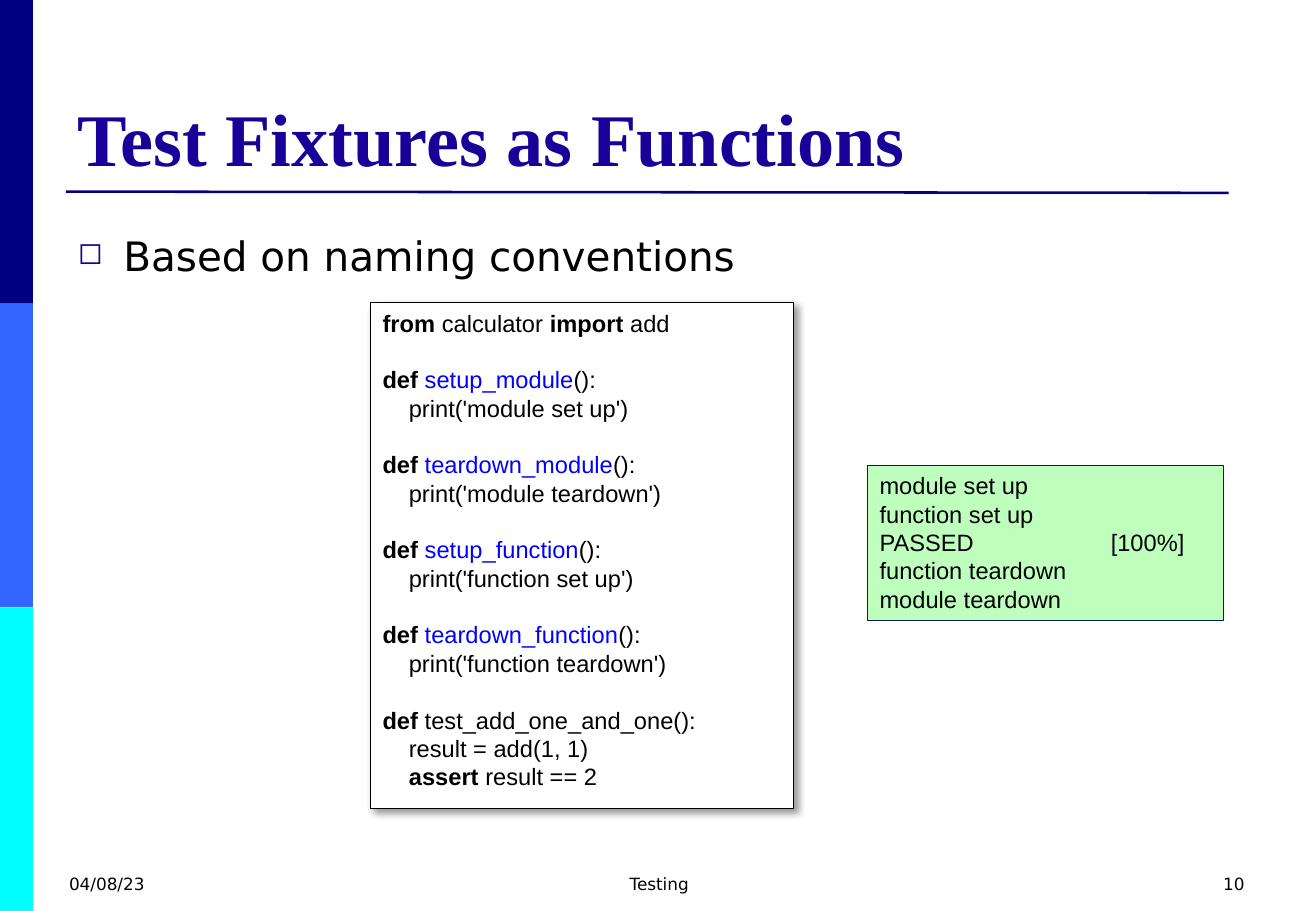
"""Build a slide about test fixtures written as functions."""
from dataclasses import dataclass

from lxml.etree import SubElement
from pptx import Presentation
from pptx.dml.color import RGBColor
from pptx.enum.shapes import MSO_CONNECTOR, MSO_SHAPE
from pptx.enum.text import MSO_ANCHOR, PP_ALIGN
from pptx.oxml.ns import qn
from pptx.util import Pt

TITLE = "Test Fixtures as Functions"
BULLET = "Based on naming conventions"
FIXTURES = [
    ("setup_module", "module set up"),
    ("teardown_module", "module teardown"),
    ("setup_function", "function set up"),
    ("teardown_function", "function teardown"),
]
IMPORT_BLOCK = [[("from", "keyword"), (" calculator ", "plain"), ("import", "keyword"), (" add", "plain")]]
TEST_BLOCK = [
    [("def ", "keyword"), ("test_add_one_and_one():", "plain")],
    [("    result = add(1, 1)", "plain")],
    [("    ", "plain"), ("assert", "keyword"), (" result == 2", "plain")],
]
OUTPUT = ["module set up", "function set up", "PASSED\t[100%]", "function teardown", "module teardown"]
FOOTER = [
    ("04/08/23", 33.84, 182.16, PP_ALIGN.LEFT),
    ("Testing", 267.12, 246.96, PP_ALIGN.CENTER),
    ("10", 562.32, 182.16, PP_ALIGN.RIGHT),
]


@dataclass(frozen=True)
class Theme:
    """Colours, fonts and type sizes."""
    title_font: str = "Times New Roman"
    body_font: str = "DejaVu Sans"
    code_font: str = "Arial"
    title_size: int = 44
    body_size: int = 24
    code_size: int = 14
    footer_size: int = 10
    title: str = "170199"
    rule: str = "000080"
    text: str = "000000"
    fixture: str = "0000FF"
    paper: str = "FFFFFF"
    output: str = "BEFFBE"
    output_line: str = "002060"
    sidebar: tuple = ("000080", "3366FF", "00FFFF")


THEME = Theme()
WIDTH, HEIGHT = 779.76, 540
SIDEBAR_WIDTH = 19.5
CODE_LINE = 16.8
OUTPUT_TAB = 137


def style(font, name, size, color, bold=False):
    """Set the look of a font."""
    font.name, font.size, font.bold = name, Pt(size), bold
    font.color.rgb = RGBColor.from_string(color)


def add_box(slide, left, top, width, height, fill, line=None):
    """Add a filled rectangle with an optional outline."""
    shape = slide.shapes.add_shape(MSO_SHAPE.RECTANGLE, Pt(left), Pt(top), Pt(width), Pt(height))
    shape.shadow.inherit = False
    shape.fill.solid()
    shape.fill.fore_color.rgb = RGBColor.from_string(fill)
    if line:
        shape.line.color.rgb = RGBColor.from_string(line)
        shape.line.width = Pt(0.75)
    else:
        shape.line.fill.background()
    shape.text_frame.vertical_anchor = MSO_ANCHOR.TOP
    return shape


def add_text(slide, text, left, top, width, height, anchor=MSO_ANCHOR.TOP):
    """Add a wrapping text box and return its paragraph."""
    frame = slide.shapes.add_textbox(Pt(left), Pt(top), Pt(width), Pt(height)).text_frame
    frame.word_wrap = True
    frame.vertical_anchor = anchor
    frame.text = text
    return frame.paragraphs[0]


def add_bullet(paragraph):
    """Give a paragraph a small square bullet with a hanging indent."""
    properties = paragraph._p.get_or_add_pPr()
    properties.set("marL", str(Pt(27)))
    properties.set("indent", str(-Pt(27)))
    color = SubElement(properties, qn("a:buClr"))
    SubElement(color, qn("a:srgbClr"), val=THEME.title)
    SubElement(properties, qn("a:buSzPct"), val="75000")
    SubElement(properties, qn("a:buChar"), char="◻")


def add_shadow(shape):
    """Cast a soft shadow to the lower right."""
    effects = shape._element.spPr.find(qn("a:effectLst"))
    shadow = SubElement(effects, qn("a:outerShdw"), blurRad=str(Pt(4)), dist=str(Pt(3)),
                        dir="2700000", algn="tl", rotWithShape="0")
    color = SubElement(shadow, qn("a:srgbClr"), val=THEME.text)
    SubElement(color, qn("a:alpha"), val="40000")


def fixture_block(name, message):
    """Return the code lines of one fixture function."""
    return [
        [("def ", "keyword"), (name, "fixture"), ("():", "plain")],
        [(f"    print('{message}')", "plain")],
    ]


def write_code(frame, blocks):
    """Write each code block as one paragraph, a line apart."""
    for block_index, block in enumerate(blocks):
        paragraph = frame.add_paragraph() if block_index else frame.paragraphs[0]
        paragraph.alignment = PP_ALIGN.LEFT
        if block_index:
            paragraph.space_before = Pt(CODE_LINE)
        for line_index, line in enumerate(block):
            if line_index:
                paragraph.add_line_break()
            for text, role in line:
                run = paragraph.add_run()
                run.text = text
                color = THEME.fixture if role == "fixture" else THEME.text
                style(run.font, THEME.code_font, THEME.code_size, color, role == "keyword")


def write_output(frame):
    """Write the test report with its percentage on a tab stop."""
    frame.text = "\n".join(OUTPUT)
    for paragraph in frame.paragraphs:
        paragraph.alignment = PP_ALIGN.LEFT
        if "\t" in paragraph.text:
            tabs = SubElement(paragraph._p.get_or_add_pPr(), qn("a:tabLst"))
            SubElement(tabs, qn("a:tab"), pos=str(Pt(OUTPUT_TAB)), algn="l")
        for run in paragraph.runs:
            style(run.font, THEME.code_font, THEME.code_size, THEME.text)


def main():
    """Build and save the slide."""
    presentation = Presentation()
    presentation.slide_width, presentation.slide_height = Pt(WIDTH), Pt(HEIGHT)
    slide = presentation.slides.add_slide(presentation.slide_layouts[6])

    band = HEIGHT / len(THEME.sidebar)
    for index, color in enumerate(THEME.sidebar):
        add_box(slide, 0, index * band, SIDEBAR_WIDTH, band, color)

    rule = slide.shapes.add_connector(MSO_CONNECTOR.STRAIGHT, Pt(39), Pt(113.6), Pt(728), Pt(114.3))
    rule.line.color.rgb = RGBColor.from_string(THEME.rule)
    rule.line.width = Pt(1.5)
    SubElement(rule._element.spPr, qn("a:effectLst"))

    title = add_text(slide, TITLE, 39, 21.6, 702, 89.3, MSO_ANCHOR.BOTTOM)
    style(title.runs[0].font, THEME.title_font, THEME.title_size, THEME.title, True)

    bullet = add_text(slide, BULLET, 39, 126, 702, 356.4)
    bullet.line_spacing = 1.25
    add_bullet(bullet)
    style(bullet.runs[0].font, THEME.body_font, THEME.body_size, THEME.text)

    for text, left, width, alignment in FOOTER:
        label = add_text(slide, text, left, 514, width, 26)
        label.alignment = alignment
        style(label.runs[0].font, THEME.body_font, THEME.footer_size, THEME.text)

    code = add_box(slide, 219.6, 179.3, 250.6, 300.2, THEME.paper, THEME.text)
    add_shadow(code)
    fixtures = [fixture_block(name, message) for name, message in FIXTURES]
    write_code(code.text_frame, [IMPORT_BLOCK, *fixtures, TEST_BLOCK])

    report = add_box(slide, 514.1, 275.8, 211, 92.2, THEME.output, THEME.output_line)
    write_output(report.text_frame)

    presentation.save("out.pptx")


if __name__ == "__main__":
    main()
